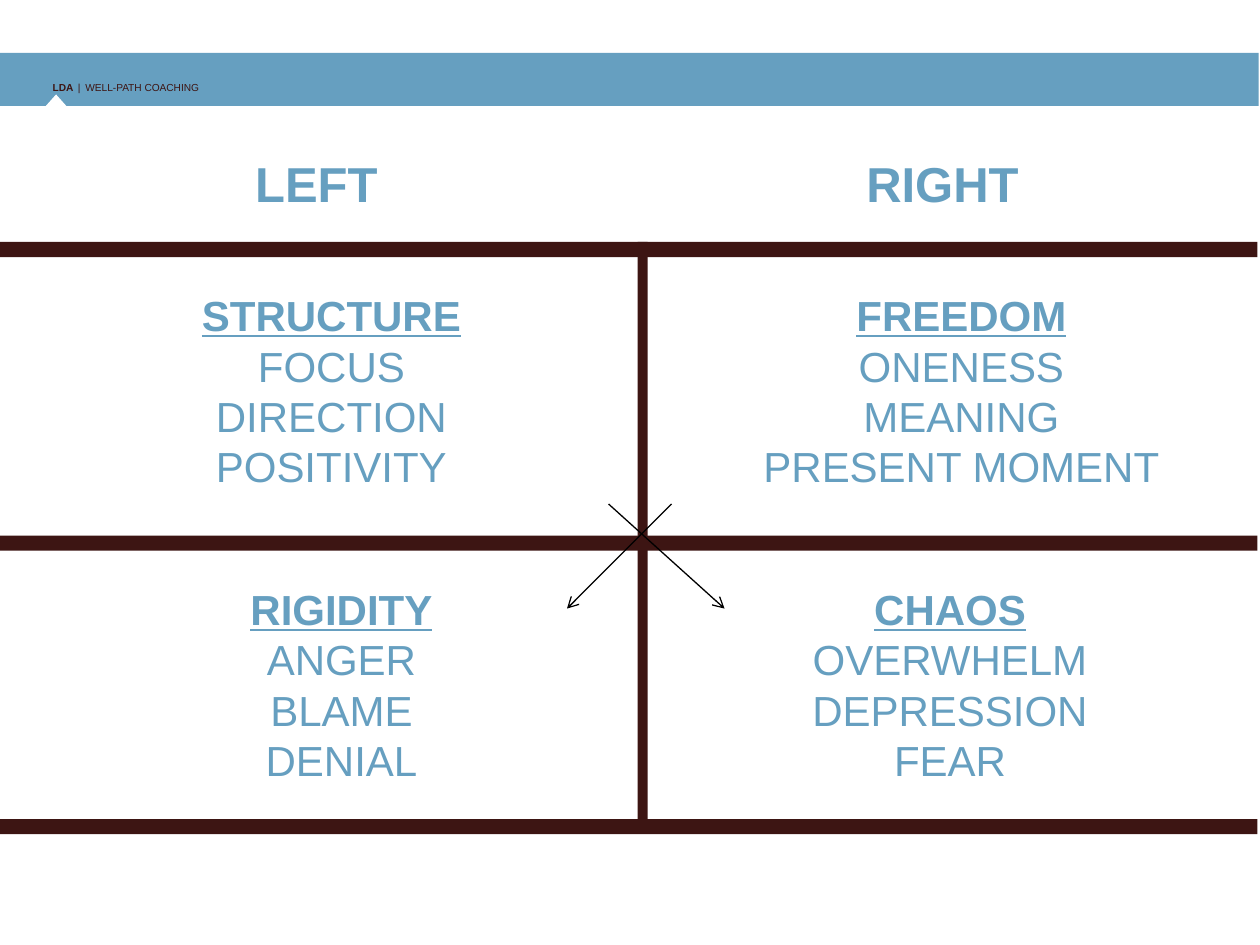
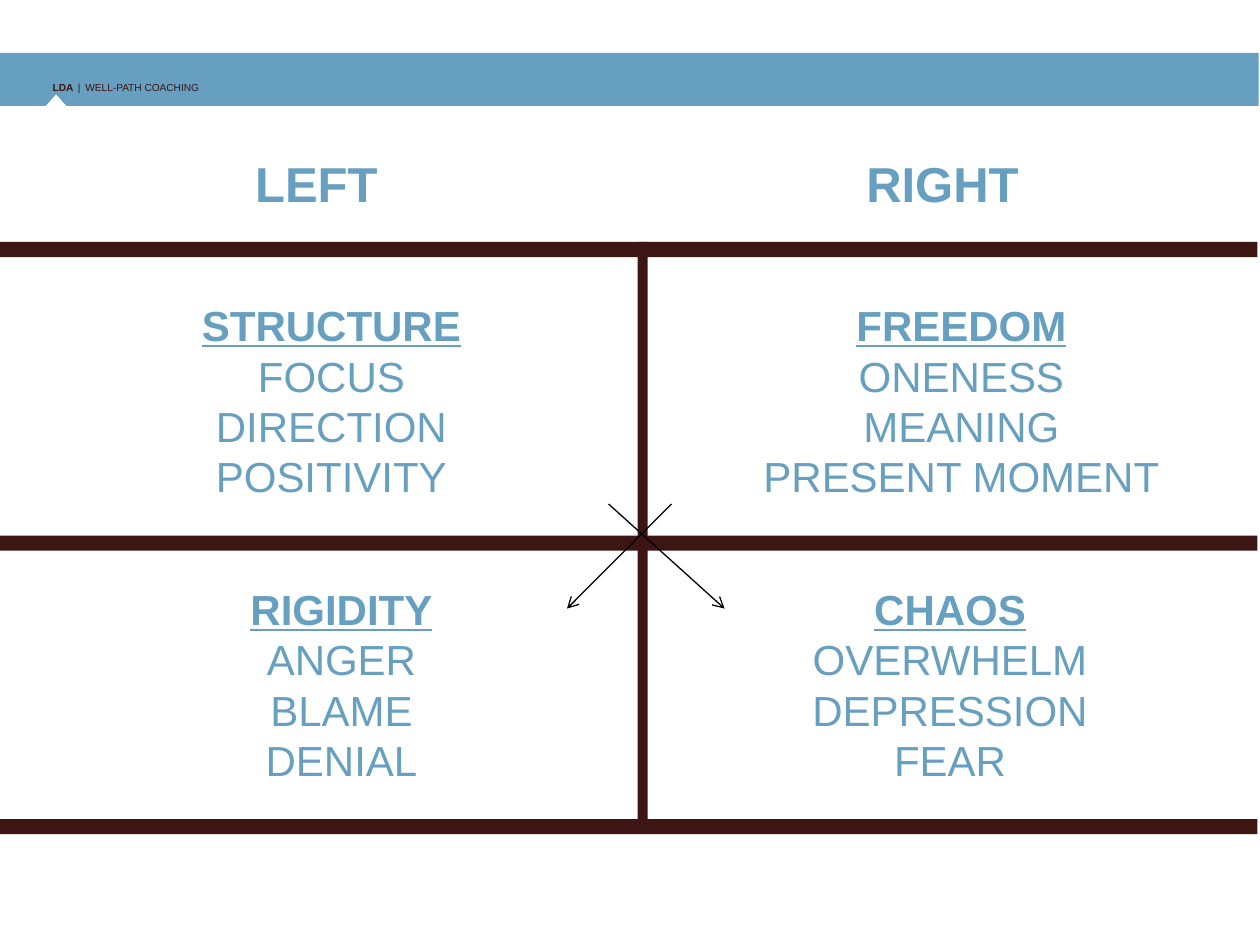
from collections import namedtuple

from lxml.etree import SubElement
from pptx import Presentation
from pptx.dml.color import RGBColor
from pptx.enum.shapes import MSO_CONNECTOR as CONNECTOR, MSO_SHAPE as SHAPE
from pptx.enum.text import PP_ALIGN as ALIGN
from pptx.oxml.ns import qn
from pptx.util import Inches, Pt

Box = namedtuple("Box", "left top width height")

FONT = "Arial"
BLUE, BROWN, WHITE, BLACK = "669FC0", "3D1513", "FFFFFF", "000000"
BAR = 0.12
DIVIDER = 0.08
QUADRANT_WIDTH = 3.92

HEADER_BOX = Box(-0.01, 0.42, 10, 0.42)
HEADINGS = [("LEFT ", Box(0.4, 1.17, 4.33, 0.75)),
            ("RIGHT", Box(5.23, 1.17, 4.5, 0.75))]
GRID_BOX = Box(-0.02, 1.92, 10, 4.7)

# Left offset in the grid, then the words of each quadrant
UPPER_QUADRANTS = [
    (0.69, ["STRUCTURE", "FOCUS", "DIRECTION", "POSITIVITY"]),
    (5.69, ["FREEDOM", "ONENESS", "MEANING", "PRESENT MOMENT"]),
]
LOWER_QUADRANTS = [
    (0.77, ["RIGIDITY", "ANGER", "BLAME", "DENIAL"]),
    (5.6, ["CHAOS", "OVERWHELM", "DEPRESSION", "FEAR"]),
]


def color(hex_string):
    return RGBColor.from_string(hex_string)


def add_block(slide, box, fill, kind=SHAPE.RECTANGLE):
    block = slide.shapes.add_shape(kind, *map(Inches, box))
    block.shadow.inherit = False
    block.fill.solid()
    block.fill.fore_color.rgb = color(fill)
    block.line.fill.background()


def add_text_box(slide, box):
    frame = slide.shapes.add_textbox(*map(Inches, box)).text_frame
    frame.word_wrap = True
    return frame


def add_text(paragraph, text, size, fill=BLUE, bold=False, underline=False,
             align=ALIGN.CENTER, baseline=None):
    paragraph.alignment = align
    run = paragraph.add_run()
    run.text = text
    font = run.font
    font.name, font.size = FONT, Pt(size)
    font.bold, font.underline = bold, underline
    font.color.rgb = color(fill)
    if baseline:
        run._r.get_or_add_rPr().set("baseline", str(baseline * 1000))


def add_tab_stops(paragraph, positions):
    stops = SubElement(paragraph._p.get_or_add_pPr(), qn("a:tabLst"))
    for position in positions:
        SubElement(stops, qn("a:tab"), pos=str(Inches(position)), algn="l")


def add_arrow(slide, start, end):
    arrow = slide.shapes.add_connector(
        CONNECTOR.STRAIGHT, *map(Inches, (*start, *end)))
    arrow.line.color.rgb = color(BLACK)
    arrow.line.width = Pt(0.75)
    SubElement(arrow.line._get_or_add_ln(), qn("a:tailEnd"), type="arrow")
    SubElement(arrow._element.spPr, qn("a:effectLst"))


def add_header(slide, box):
    add_block(slide, box, BLUE)
    # Running title
    frame = add_text_box(
        slide, Box(box.left + 0.33, box.top + 0.16, 7.75, 0.83))
    title = frame.paragraphs[0]
    add_tab_stops(title, (0.2, 0.26))
    style = dict(size=10, fill=BROWN, align=ALIGN.LEFT, baseline=30)
    add_text(title, "LDA", bold=True, **style)
    add_text(title, "\t|\tWELL-PATH COACHING", **style)
    # Notch in the lower edge of the band
    add_block(slide, Box(box.left + 0.33, box.top + 0.33, 0.25, 0.14),
              WHITE, SHAPE.ISOSCELES_TRIANGLE)


def add_heading(slide, text, box):
    frame = add_text_box(slide, box)
    add_text(frame.paragraphs[0], text, 28, bold=True)


def add_quadrant(slide, words, box):
    frame = add_text_box(slide, box)
    for index, word in enumerate(words):
        paragraph = frame.add_paragraph() if index else frame.paragraphs[0]
        add_text(paragraph, word, 24, bold=index == 0, underline=index == 0)


def add_grid(slide, box, upper_offset):
    # Three bars and the divider between the columns
    for offset in (0, 2.33, box.height - BAR):
        add_block(slide, Box(box.left, box.top + offset, box.width, BAR), BROWN)
    add_block(slide, Box(box.left + 5.08, box.top, DIVIDER, box.height - BAR),
              BROWN)
    # Words of the four quadrants
    rows = ((upper_offset, UPPER_QUADRANTS), (2.66, LOWER_QUADRANTS))
    for top, quadrants in rows:
        for left, words in quadrants:
            add_quadrant(slide, words, Box(box.left + left, box.top + top,
                                           QUADRANT_WIDTH, 1.7))
    # Crossing arrows
    for start, end in ((4.85, 5.77), (5.35, 4.52)):
        add_arrow(slide, (box.left + start, box.top + 2.08),
                  (box.left + end, box.top + 2.91))


def add_hemispheres_slide(deck, upper_offset):
    slide = deck.slides.add_slide(deck.slide_layouts[6])
    add_header(slide, HEADER_BOX)
    for text, box in HEADINGS:
        add_heading(slide, text, box)
    add_grid(slide, GRID_BOX, upper_offset)


def main():
    deck = Presentation()
    deck.slide_width, deck.slide_height = Inches(10), Inches(7.5)
    for upper_offset in (0.33, 0.41):
        add_hemispheres_slide(deck, upper_offset)
    deck.save("out.pptx")


if __name__ == "__main__":
    main()
